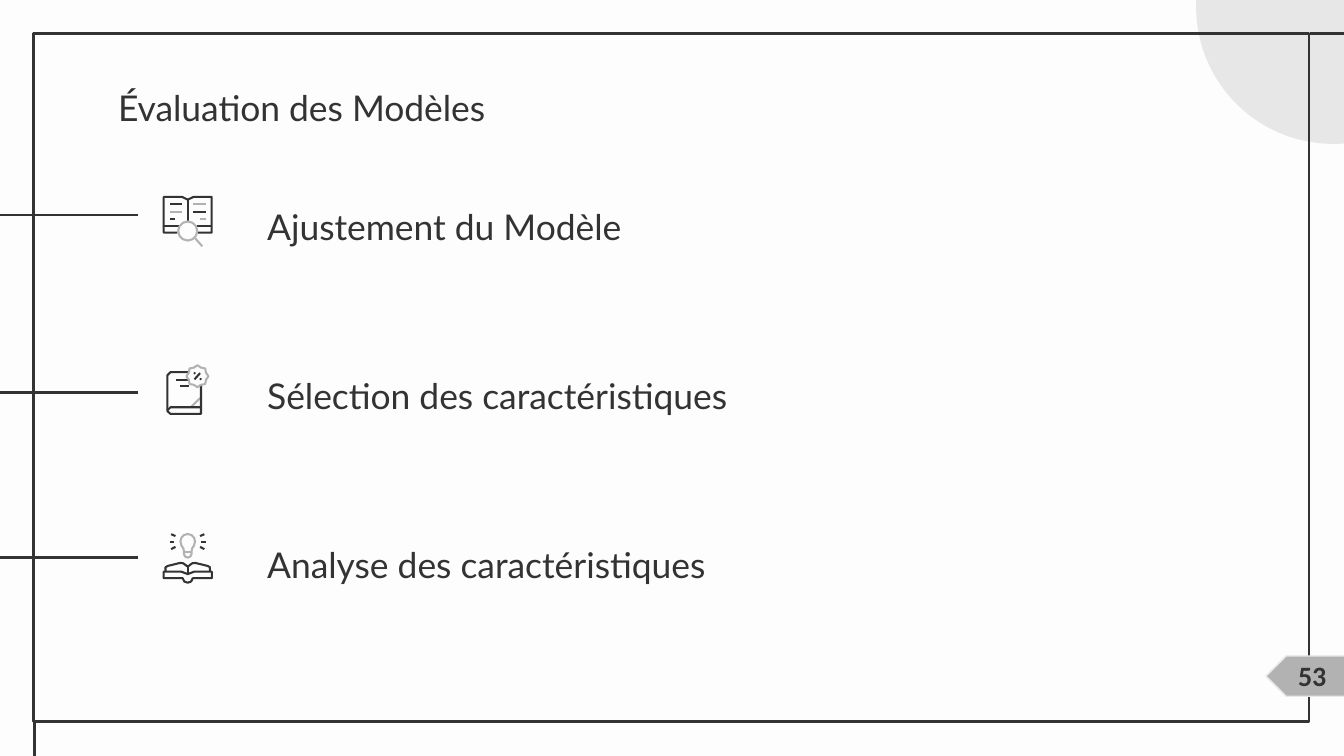
"""Build the model evaluation slide with its three icon topics."""
import math

import pptx
import pptx.dml.color
import pptx.enum.shapes
import pptx.enum.text
import pptx.oxml
import pptx.util

Pt = pptx.util.Pt
RGBColor = pptx.dml.color.RGBColor
MSO_SHAPE = pptx.enum.shapes.MSO_SHAPE
ANCHOR = pptx.enum.text.MSO_ANCHOR
DARK = RGBColor(0x33, 0x33, 0x33)
GREY = RGBColor(0xB2, 0xB2, 0xB2)
PALE = RGBColor(0xE8, 0xE7, 0xE7)
PAPER = RGBColor(0xFD, 0xFD, 0xFD)
EFFECTS = '<a:effectLst xmlns:a="http://schemas.openxmlformats.org/drawingml/2006/main"/>'
AXIS = 100.6
ICON_WIDTH = 1.1

prs = pptx.Presentation()
prs.slide_width, prs.slide_height = Pt(720), Pt(405)
s = prs.slides.add_slide(prs.slide_layouts[6])
s.background.fill.solid()
s.background.fill.fore_color.rgb = PAPER


def add_stroke(points, color=DARK, width=ICON_WIDTH, closed=False):
    pts = [(Pt(x), Pt(y)) for x, y in points]
    if len(pts) == 2:
        sp = s.shapes.add_connector(pptx.enum.shapes.MSO_CONNECTOR.STRAIGHT, *pts[0], *pts[1])
        sp.line.color.rgb = color
        sp.line.width = Pt(width)
        sp._element.spPr.append(pptx.oxml.parse_xml(EFFECTS))
    else:
        builder = s.shapes.build_freeform(*pts[0])
        builder.add_line_segments(pts[1:], close=closed)
        sp = builder.convert_to_shape()
        sp.shadow.inherit = False
        sp.fill.background()
        sp.line.color.rgb = color
        sp.line.width = Pt(width)


def add_preset(kind, box, fill=None, line=None, width=1.5):
    sp = s.shapes.add_shape(kind, *[Pt(v) for v in box])
    sp.shadow.inherit = False
    if fill is None:
        sp.fill.background()
    else:
        sp.fill.solid()
        sp.fill.fore_color.rgb = fill
    if line is None:
        sp.line.fill.background()
    else:
        sp.line.color.rgb = line
        sp.line.width = Pt(width)
    return sp


add_preset(MSO_SHAPE.OVAL, (640.8, -69.8, 146.9, 146.9), fill=PALE)
for y in (115.2, 210.2, 298.8):
    add_stroke([(0, y), (74, y)], width=1.5)
add_preset(MSO_SHAPE.RECTANGLE, (18, 18, 683.3, 368.6), line=DARK)
add_stroke([(702, 18), (720, 18)], width=1.5)
add_stroke([(18.7, 387), (18.7, 405)], width=1.5)

# name, left, top, width, height, anchor, spacing, size, font, bold
title = ("Évaluation des Modèles", 56.2, 35.3, 607, 45.4, ANCHOR.TOP, 1.15, 19, "Lato", False)
topics = [
    (text, 136.1, 97.9 + 90.7 * i, 520.6, 41.8, ANCHOR.BOTTOM, 1.15, 19, "Lato", False)
    for i, text in enumerate(
        ("Ajustement du Modèle", "Sélection des caractéristiques", "Analyse des caractéristiques")
    )
]
number = ("53", 688.3, 345.6, 33.8, 30.2, ANCHOR.TOP, 1.0, 15, "Calibri", True)

# Open book with magnifier
add_stroke([(95, 124.6), (87.7, 124.6), (87.7, 105.5), (97.5, 105.5), (AXIS, 107),
            (103.7, 105.5), (113.4, 105.5), (113.4, 124.6), (106, 124.6)])
add_stroke([(AXIS, 107), (AXIS, 118.8)])
for x1, x2, y, color in (
    (87.7, 95.8, 121.3, DARK), (105.3, 113.4, 121.3, DARK),
    (91, 97.6, 109.4, DARK), (103.6, 110.5, 109.4, GREY),
    (91, 97.6, 113.4, GREY), (103.6, 110.5, 113.4, DARK),
    (91, 94, 117.4, DARK), (106.9, 110.5, 117.4, GREY),
):
    add_stroke([(x1, y), (x2, y)], color)
add_preset(MSO_SHAPE.OVAL, (95.5, 118.7, 10.2, 10.2), line=GREY, width=ICON_WIDTH)
add_stroke([(104.5, 127.6), (108.4, 132)], GREY)

# Closed book with percent badge
add_stroke([(102.5, 213.2 + 4.8), (107.2, 213.3)], GREY)
add_stroke([(101.5, 199.4), (91.4, 199.4), (89.7, 201.1), (89.7, 220.3), (91.4, 221.8),
            (107.7, 221.8), (107.7, 206)])
add_stroke([(89.7, 219.8), (91.4, 218.2), (107.7, 218.2)])
add_stroke([(94.5, 203.8), (102, 203.8)])
add_stroke([(96.5, 207), (101, 207)])
badge = []
for i in range(16):
    radius = 5.9 if i % 2 == 0 else 5
    angle = math.pi * i / 8
    badge.append((105.8 + radius * math.cos(angle), 201.6 + radius * math.sin(angle)))
add_stroke(badge, GREY, closed=True)
add_stroke([(104.2, 203.3), (107.2, 199.9)])
for x, y in ((103.7, 199.4), (106.9, 202.5)):
    add_preset(MSO_SHAPE.OVAL, (x, y, 1.2, 1.2), fill=DARK)

# Open book with light bulb
cover = [(AXIS, 307.6), (97.2, 306.3), (87.7, 306.3), (87.7, 309.8), (97.9, 309.8),
         (98.8, 311.6), (AXIS, 312.2)]
pages = [(88.7, 306.3), (88.7, 303.9), (90, 303.2), (96.5, 301.6), (98.2, 301.8), (AXIS, 303.6)]
bulb = [(AXIS, 298.8), (99.2, 298.2), (98.6, 297), (98.6, 295.5), (98.3, 294), (97.2, 292.2),
        (96.7, 290.2), (97.1, 288.3), (98.5, 286.7), (AXIS, 286.1)]
for half, color, closed in ((cover, DARK, True), (pages, DARK, False), (bulb, GREY, True)):
    mirrored = [(2 * AXIS - x, y) for x, y in reversed(half)]
    add_stroke(half + mirrored, color, closed=closed)
add_stroke([(AXIS, 303.6), (AXIS, 307.6)])
add_stroke([(98.6, 295.6), (102.6, 295.6)], GREY)
for x1, y1, x2, y2 in ((90.9, 290.2, 93.4, 290.2), (91.7, 286.2, 94, 287.2), (91.7, 294.2, 94, 293)):
    add_stroke([(x1, y1), (x2, y2)])
    add_stroke([(2 * AXIS - x1, y1), (2 * AXIS - x2, y2)])

tag = add_preset(MSO_SHAPE.PENTAGON, (678.2, 351.4, 46.1, 21.6), GREY, PALE, 0.75)
tag.rotation = 180
tag.adjustments[0] = 0.5

for text, left, top, width, height, anchor, spacing, size, font, bold in [title, *topics, number]:
    tf = s.shapes.add_textbox(Pt(left), Pt(top), Pt(width), Pt(height)).text_frame
    tf.word_wrap = True
    tf.vertical_anchor = anchor
    tf.margin_left = tf.margin_right = tf.margin_top = tf.margin_bottom = Pt(7.2)
    tf.text = text
    p = tf.paragraphs[0]
    p.line_spacing = spacing
    r = p.runs[0]
    r.font.name, r.font.size, r.font.bold = font, Pt(size), bold
    r.font.color.rgb = DARK

prs.save("out.pptx")
